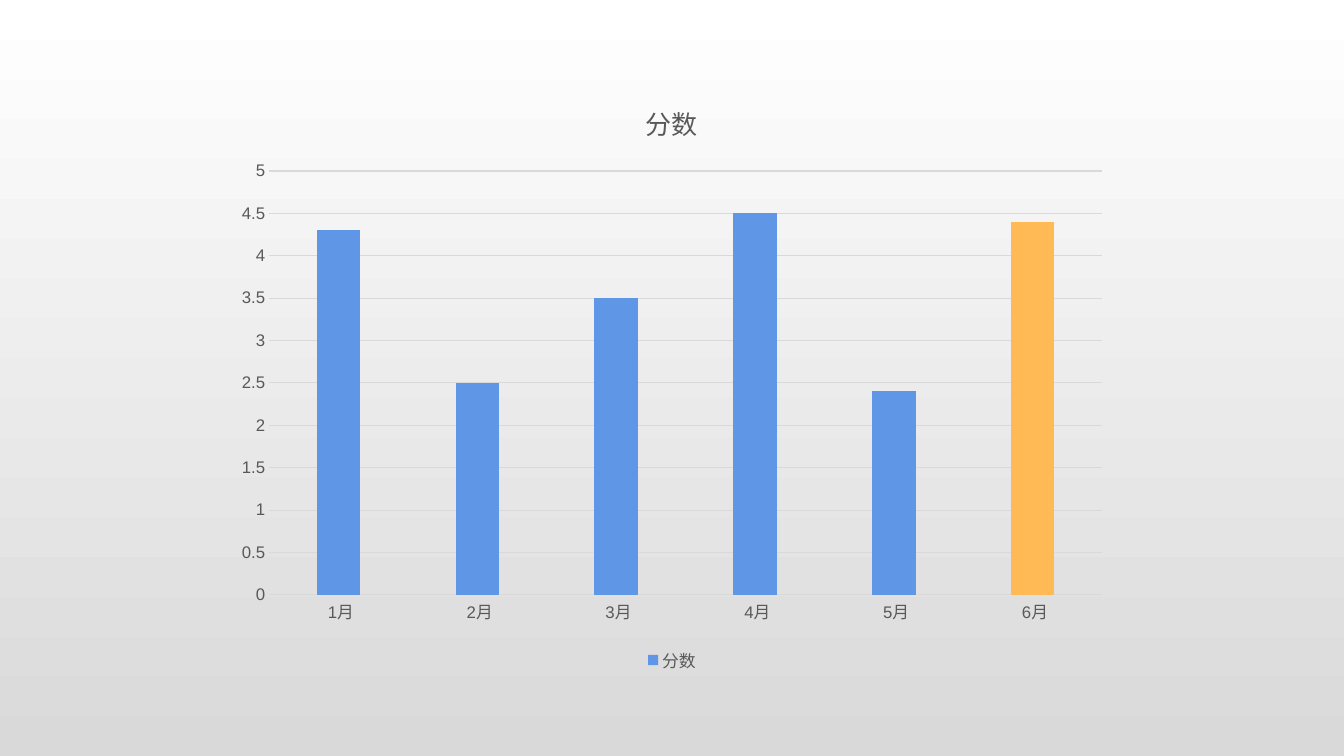
from pptx import Presentation
from pptx.chart.data import CategoryChartData
from pptx.dml.color import RGBColor
from pptx.enum.chart import (
    XL_CHART_TYPE as ChartType,
    XL_LEGEND_POSITION as LegendPosition,
    XL_TICK_MARK as TickMark,
)
from pptx.util import Pt


def color(hex_code):
    return RGBColor.from_string(hex_code)


class ScoreSlide:
    """Holds the style and the current slide."""

    font_name = "Arial"
    text_color = "595959"
    line_color = "D9D9D9"
    bar_color = "6096E6"
    highlight_color = "FFBA55"

    def __init__(self, deck):
        self.page = deck.slides.add_slide(deck.slide_layouts[6])

    def style_font(self, font, size):
        font.name = self.font_name
        font.size = Pt(size)
        font.bold = False
        font.color.rgb = color(self.text_color)

    def style_line(self, line):
        line.color.rgb = color(self.line_color)
        line.width = Pt(0.75)

    def background(self, top, bottom):
        fill = self.page.background.fill
        fill.gradient()
        fill.gradient_angle = 270
        for stop, position, shade in zip(fill.gradient_stops, (0, 1), (top, bottom)):
            stop.position = position
            stop.color.rgb = color(shade)

    def column_chart(self, name, months, scores, highlighted, box):
        data = CategoryChartData()
        data.categories = months
        data.add_series(name, scores)
        frame = self.page.shapes.add_chart(
            ChartType.COLUMN_CLUSTERED, *map(Pt, box), data)
        chart = frame.chart
        self.style_font(chart.font, 12)

        # Title and legend
        chart.has_title = True
        title = chart.chart_title
        title.include_in_layout = False
        title.text_frame.text = name
        self.style_font(title.text_frame.paragraphs[0].runs[0].font, 18.6)
        chart.has_legend = True
        chart.legend.position = LegendPosition.BOTTOM
        chart.legend.include_in_layout = False
        self.style_font(chart.legend.font, 12)

        # Axes
        for axis in (chart.category_axis, chart.value_axis):
            axis.major_tick_mark = axis.minor_tick_mark = TickMark.NONE
            self.style_font(axis.tick_labels.font, 12)
        self.style_line(chart.category_axis.format.line)
        chart.value_axis.format.line.fill.background()
        self.style_line(chart.value_axis.major_gridlines.format.line)
        chart.value_axis.minimum_scale = 0
        chart.value_axis.maximum_scale = 5
        chart.value_axis.major_unit = 0.5

        # Columns
        plot = chart.plots[0]
        plot.gap_width = 219
        plot.overlap = -27
        plot.vary_by_categories = False
        columns = plot.series[0]
        self.fill(columns, self.bar_color)
        self.fill(columns.points[highlighted], self.highlight_color)

    def fill(self, target, hex_code):
        target.format.fill.solid()
        target.format.fill.fore_color.rgb = color(hex_code)


def main():
    deck = Presentation()
    deck.slide_width, deck.slide_height = Pt(960), Pt(540)

    slide = ScoreSlide(deck)
    slide.background("FFFFFF", "D9D9D9")
    slide.column_chart(
        "分数",
        [f" {month}月" for month in range(1, 7)],
        (4.3, 2.5, 3.5, 4.5, 2.4, 4.4),
        highlighted=5,
        box=(160, 56.67, 640, 426.67),
    )
    deck.save("out.pptx")


if __name__ == "__main__":
    main()
